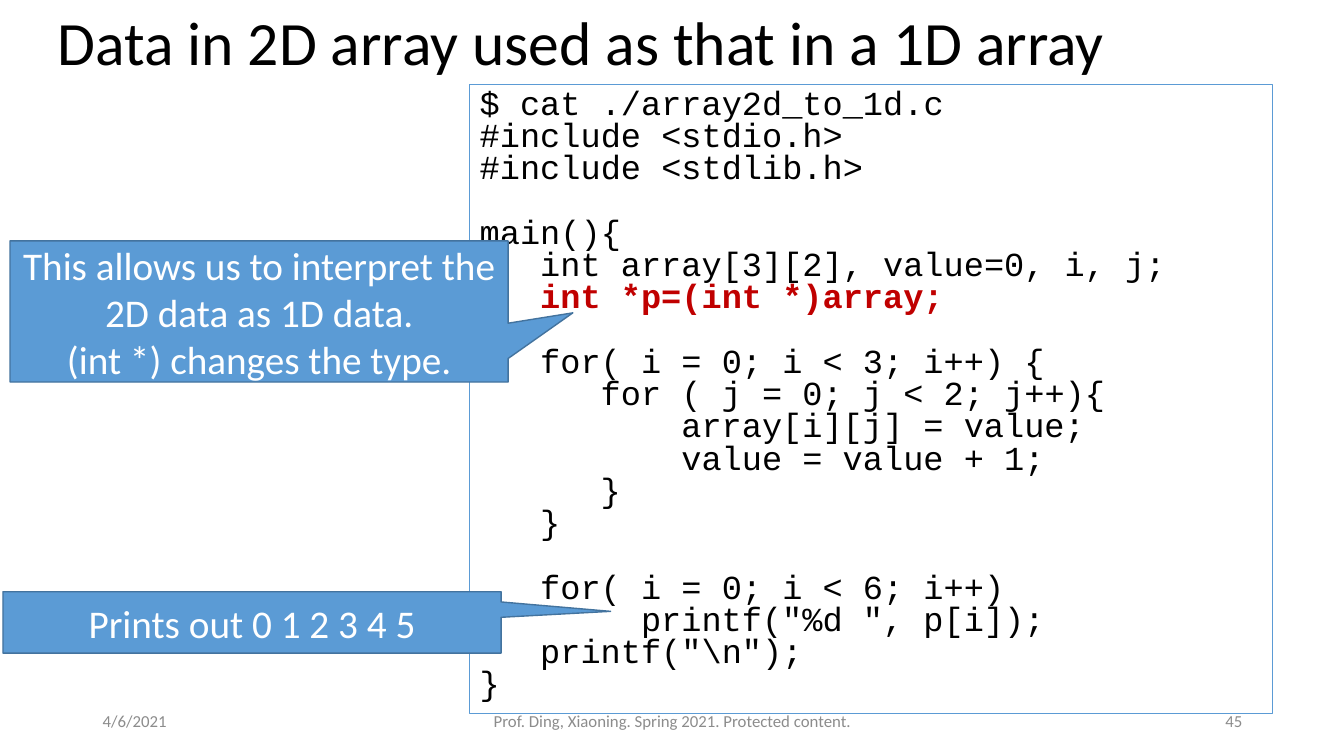
from dataclasses import dataclass

from pptx import Presentation
from pptx import util as u
from pptx.dml.color import RGBColor
from pptx.enum import shapes, text

PX = 9144  # EMU per px, 100 px to the inch


@dataclass(frozen=True)
class Theme:
    body_font: str = "Calibri"
    code_font: str = "Courier New"
    ink: str = "000000"
    grey: str = "8C8C8C"
    white: str = "FFFFFF"
    red: str = "C00000"
    blue: str = "5B9BD5"
    dark_blue: str = "43739E"
    title_size: int = 44
    callout_size: int = 28
    code_size: int = 24
    footer_size: int = 12
    code_indent: int = 20  # px, width of one code character
    code_gap: int = 23  # points, height of one code line


THEME = Theme()

# Each block is set off by a gap; a line is (indent in characters, code)
CODE_BLOCKS = [
    [(0, "$ cat ./array2d_to_1d.c"),
     (0, "#include <stdio.h>"),
     (0, "#include <stdlib.h>")],
    [(0, "main(){"),
     (3, "int array[3][2], value=0, i, j;"),
     (3, "int *p=(int *)array;")],
    [(3, "for( i = 0; i < 3; i++) {"),
     (6, "for ( j = 0; j < 2; j++){"),
     (10, "array[i][j] = value;"),
     (10, "value = value + 1;"),
     (6, "}"),
     (3, "}")],
    [(3, "for( i = 0; i < 6; i++)"),
     (8, 'printf("%d ", p[i]);'),
     (3, 'printf("\\n");'),
     (0, "}")],
]
KEY_LINE = "int *p=(int *)array;"


def emu(box):
    return [u.Emu(px * PX) for px in box]


def add_run(paragraph, words, font, size, colour, bold=False):
    run = paragraph.add_run()
    run.text = words
    run.font.name = font
    run.font.size = u.Pt(size)
    run.font.bold = bold
    run.font.color.rgb = RGBColor.from_string(colour)


def next_paragraph(frame, first, align):
    paragraph = frame.paragraphs[0] if first else frame.add_paragraph()
    paragraph.alignment = align
    return paragraph


def add_label(slide, box, words, size, colour, align=text.PP_ALIGN.LEFT, spacing=1.0):
    frame = slide.shapes.add_textbox(*emu(box)).text_frame
    frame.word_wrap = True
    frame.vertical_anchor = text.MSO_ANCHOR.MIDDLE
    paragraph = next_paragraph(frame, True, align)
    paragraph.line_spacing = spacing
    add_run(paragraph, words, THEME.body_font, size, colour)


def add_outlined(slide, kind, box, line_colour, line_width):
    shape = slide.shapes.add_shape(kind, *emu(box))
    shape.shadow.inherit = False
    shape.line.color.rgb = RGBColor.from_string(line_colour)
    shape.line.width = u.Pt(line_width)
    shape.text_frame.word_wrap = True
    return shape


def add_listing(slide, box, blocks):
    listing = add_outlined(slide, shapes.MSO_SHAPE.RECTANGLE, box, THEME.blue, 0.75)
    listing.fill.background()
    frame = listing.text_frame
    frame.vertical_anchor = text.MSO_ANCHOR.TOP
    for block_no, block in enumerate(blocks):
        for line_no, (indent, code) in enumerate(block):
            first = block_no == line_no == 0
            paragraph = next_paragraph(frame, first, text.PP_ALIGN.LEFT)
            paragraph.line_spacing = 0.8
            if line_no == 0 and not first:
                paragraph.space_before = u.Pt(THEME.code_gap)
            margins = paragraph._p.get_or_add_pPr()
            margins.set("marL", str(indent * THEME.code_indent * PX))
            margins.set("indent", "0")
            key = code == KEY_LINE
            add_run(paragraph, code, THEME.code_font, THEME.code_size,
                    THEME.red if key else THEME.ink, key)


def add_callout(slide, box, tip, lines):
    callout = add_outlined(slide, shapes.MSO_SHAPE.RECTANGULAR_CALLOUT, box,
                           THEME.dark_blue, 1)
    callout.fill.solid()
    callout.fill.fore_color.rgb = RGBColor.from_string(THEME.blue)
    callout.adjustments[0], callout.adjustments[1] = tip
    frame = callout.text_frame
    frame.vertical_anchor = text.MSO_ANCHOR.MIDDLE
    for number, line in enumerate(lines):
        paragraph = next_paragraph(frame, number == 0, text.PP_ALIGN.CENTER)
        add_run(paragraph, line, THEME.body_font, THEME.callout_size, THEME.white)


def main():
    deck = Presentation()
    deck.slide_width, deck.slide_height = emu((1333, 750))
    slide = deck.slides.add_slide(deck.slide_layouts[6])

    # Title
    add_label(slide, (47, 0, 1239, 90), "Data in 2D array used as that in a 1D array",
              THEME.title_size, THEME.ink, spacing=0.9)

    # Footer
    for left, width, words, align in (
        (92, 300, "4/6/2021", text.PP_ALIGN.LEFT),
        (442, 450, "Prof. Ding, Xiaoning. Spring 2021. Protected content.",
         text.PP_ALIGN.CENTER),
        (942, 300, "45", text.PP_ALIGN.RIGHT),
    ):
        add_label(slide, (left, 695, width, 40), words, THEME.footer_size,
                  THEME.grey, align)

    # Program listing
    add_listing(slide, (466, 84, 796, 624), CODE_BLOCKS)

    # Callouts
    add_callout(slide, (10, 239, 494, 140), (0.63, 0.01),
                ["This allows us to interpret the 2D data as 1D data.",
                 "(int *) changes the type."])
    add_callout(slide, (3, 587, 494, 61), (0.72, -0.18), ["Prints out 0 1 2 3 4 5"])

    deck.save("out.pptx")


if __name__ == "__main__":
    main()
